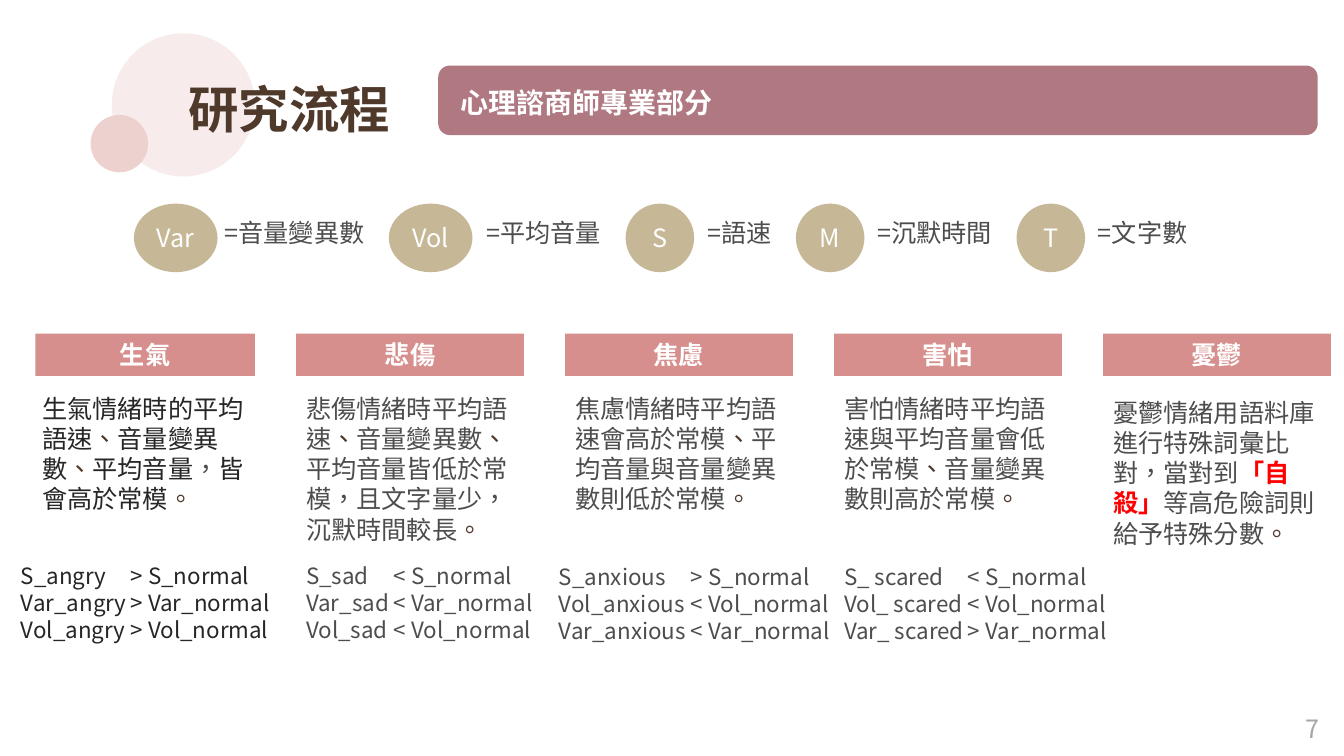
from dataclasses import dataclass
from itertools import groupby

from lxml import etree
from pptx import Presentation
from pptx.dml.color import RGBColor
from pptx.enum.shapes import MSO_SHAPE
from pptx.enum.text import MSO_ANCHOR, PP_ALIGN
from pptx.oxml.ns import qn
from pptx.util import Inches, Pt

OVAL, RECT, ROUNDED = MSO_SHAPE.OVAL, MSO_SHAPE.RECTANGLE, MSO_SHAPE.ROUNDED_RECTANGLE
TOP, MIDDLE = MSO_ANCHOR.TOP, MSO_ANCHOR.MIDDLE
LEFT, CENTER = PP_ALIGN.LEFT, PP_ALIGN.CENTER


@dataclass(frozen=True)
class Theme:
    font: str = "Noto Sans CJK SC"
    language: str = "zh-TW"
    title_size: int = 36
    banner_size: int = 20
    body_size: int = 18
    formula_size: int = 16
    white: str = "FFFFFF"
    brown: str = "4F392B"
    full_stop: str = "523A2C"
    grey: str = "4D4D4D"
    dark: str = "262626"
    pale_grey: str = "A6A6A6"
    alarm: str = "FF0000"
    large_circle: str = "F6E8E7"
    small_circle: str = "EDD1CF"
    banner: str = "B07982"
    badge: str = "C6B796"
    header: str = "D78F8D"


THEME = Theme()
PUNCTUATION = {"、": THEME.brown, "，": THEME.grey, "。": THEME.full_stop}

LEGEND = [
    ("Var", 1.33, 0.83, "=音量變異數", 2.13, 1.65),
    ("Vol", 3.86, 0.83, "=平均音量", 4.73, 1.4),
    ("S", 6.21, 0.68, "=語速", 6.92, 0.9),
    ("M", 7.9, 0.68, "=沉默時間", 8.61, 1.4),
    ("T", 10.09, 0.68, "=文字數", 10.8, 1.15),
]


@dataclass(frozen=True)
class Emotion:
    name: str
    description: str
    formulas: tuple = ()
    formula_left: float = 0
    formula_top: float = 5.54
    sign_tab: float = 0
    header_left: float = 0
    header_width: float = 2.26
    body_left: float = 0
    body_top: float = 3.85
    ink: str = THEME.grey


def column_left(index):
    return round(2.94 + 2.67 * (index - 1), 2)


EMOTIONS = [
    Emotion("生氣", "生氣情緒時的平均語速、音量變異數、平均音量，皆會高於常模。",
            ("S_angry\t> S_normal", "Var_angry\t> Var_normal", "Vol_angry\t> Vol_normal"),
            0.11, 5.53, 1.09, header_left=0.35, header_width=2.18, body_left=0.32,
            ink=THEME.dark),
    Emotion("悲傷", "悲傷情緒時平均語速、音量變異數、平均音量皆低於常模，且文字量少，沉默時間較長。",
            ("S_sad\t< S_normal", "Var_sad\t< Var_normal", "Vol_sad\t< Vol_normal"),
            2.94, 5.53, 0.87),
    Emotion("焦慮", "焦慮情緒時平均語速會高於常模、平均音量與音量變異數則低於常模。",
            ("S_anxious\t> S_normal", "Vol_anxious\t< Vol_normal", "Var_anxious\t< Var_normal"),
            5.45, sign_tab=1.31),
    Emotion("害怕", "害怕情緒時平均語速與平均音量會低於常模、音量變異數則高於常模。",
            ("S_ scared\t< S_normal", "Vol_ scared\t< Vol_normal", "Var_ scared\t> Var_normal"),
            8.28, sign_tab=1.23),
    Emotion("憂鬱", "憂鬱情緒用語料庫進行特殊詞彙比對，當對到|「自殺」|等高危險詞則給予特殊分數。",
            body_top=3.89),
]


class SlideBuilder:
    """Draws styled elements on the current slide."""

    def __init__(self, theme, slide):
        self.theme = theme
        self.slide = slide

    def style(self, paragraph, size, color, bold=False, align=LEFT):
        paragraph.alignment = align
        font = paragraph.font
        font.name, font.size, font.bold = self.theme.font, Pt(size), bold
        font.color.rgb = RGBColor.from_string(color)
        defaults = paragraph._p.pPr.find(qn("a:defRPr"))
        east_asian = etree.Element(qn("a:ea"), typeface=self.theme.font)
        defaults.find(qn("a:latin")).addnext(east_asian)

    def frame(self, shape, anchor=TOP, wrap=True):
        frame = shape.text_frame
        frame.word_wrap, frame.vertical_anchor = wrap, anchor
        frame.margin_left = frame.margin_right = Inches(0.1)
        frame.margin_top = frame.margin_bottom = Inches(0.05)
        return frame

    def title(self, text, left, top, width, height):
        title = self.slide.shapes.title
        title.left, title.top = Inches(left), Inches(top)
        title.width, title.height = Inches(width), Inches(height)
        frame = self.frame(title, wrap=False)
        frame.text = text
        self.style(frame.paragraphs[0], self.theme.title_size, self.theme.brown, True)

    def shape(self, kind, left, top, width, height, fill, opacity=None):
        shape = self.slide.shapes.add_shape(
            kind, Inches(left), Inches(top), Inches(width), Inches(height))
        shape.shadow.inherit = False
        shape.fill.solid()
        shape.fill.fore_color.rgb = RGBColor.from_string(fill)
        shape.line.fill.background()
        if opacity:
            color = shape._element.spPr.find(qn("a:solidFill"))[0]
            etree.SubElement(color, qn("a:alpha"), val=str(opacity * 1000))
        return shape

    def label(self, shape, text, size, bold=False, align=CENTER):
        frame = self.frame(shape, MIDDLE)
        frame.text = text
        self.style(frame.paragraphs[0], size, self.theme.white, bold, align)
        return frame

    def text(self, lines, left, top, width, height, size, color,
             wrap=True, spacing=None, tab=None):
        box = self.slide.shapes.add_textbox(
            Inches(left), Inches(top), Inches(width), Inches(height))
        frame = self.frame(box, wrap=wrap)
        frame.text = "\n".join(lines)
        for paragraph in frame.paragraphs:
            if spacing:
                paragraph.line_spacing = spacing
            if tab:
                stops = etree.SubElement(paragraph._p.get_or_add_pPr(), qn("a:tabLst"))
                etree.SubElement(stops, qn("a:tab"), pos=str(Inches(tab)), algn="l")
            self.style(paragraph, size, color)
        return frame

    def description(self, text, left, top, width, height, ink):
        frame = self.text([""], left, top, width, height, self.theme.body_size, ink)
        paragraph = frame.paragraphs[0]
        paragraph._p.pPr.set("hangingPunct", "0")
        for passage in text.split("|"):
            alarming = passage.startswith("「")
            base = self.theme.alarm if alarming else ink
            for color, letters in groupby(passage, lambda c: PUNCTUATION.get(c, base)):
                run = paragraph.add_run()
                run.text = "".join(letters)
                run.font.color.rgb = RGBColor.from_string(color)
                run._r.get_or_add_rPr().set("lang", self.theme.language)
                if alarming:
                    run.font.bold = True


def main():
    deck = Presentation()
    deck.slide_width, deck.slide_height = Inches(13.34), Inches(7.5)
    builder = SlideBuilder(THEME, deck.slides.add_slide(deck.slide_layouts[5]))

    builder.shape(OVAL, 1.11, 0.33, 1.42, 1.42, THEME.large_circle, opacity=80)
    builder.shape(OVAL, 0.9, 1.14, 0.57, 0.57, THEME.small_circle)
    builder.title("研究流程", 1.77, 0.72, 2.5, 0.7)
    title_element = builder.slide.shapes.title._element
    title_element.getparent().append(title_element)

    banner = builder.shape(ROUNDED, 4.35, 0.65, 8.73, 0.69, THEME.banner)
    banner_frame = builder.label(banner, "心理諮商師專業部分", THEME.banner_size, True, LEFT)
    banner_frame.margin_left, banner_frame.margin_top = Inches(0.19), Inches(0.08)

    for symbol, left, width, meaning, meaning_left, meaning_width in LEGEND:
        badge = builder.shape(OVAL, left, 2.02, width, 0.68, THEME.badge)
        builder.label(badge, symbol, THEME.body_size).word_wrap = False
        builder.text([meaning], meaning_left, 2.02, meaning_width, 0.49,
                     THEME.body_size, THEME.grey, wrap=False, spacing=1.3)

    for index, emotion in enumerate(EMOTIONS):
        left = emotion.header_left or column_left(index)
        header = builder.shape(RECT, left, 3.31, emotion.header_width, 0.42, THEME.header)
        builder.label(header, emotion.name, THEME.body_size, True)
        builder.description(emotion.description, emotion.body_left or left,
                            emotion.body_top, 2.26, 1.6, emotion.ink)
        if emotion.formulas:
            builder.text(emotion.formulas, emotion.formula_left, emotion.formula_top,
                         3.2, 0.9, THEME.formula_size, emotion.ink, tab=emotion.sign_tab)

    builder.text(["7"], 12.86, 7.03, 0.34, 0.4, THEME.body_size, THEME.pale_grey, wrap=False)
    deck.save("out.pptx")


if __name__ == "__main__":
    main()
